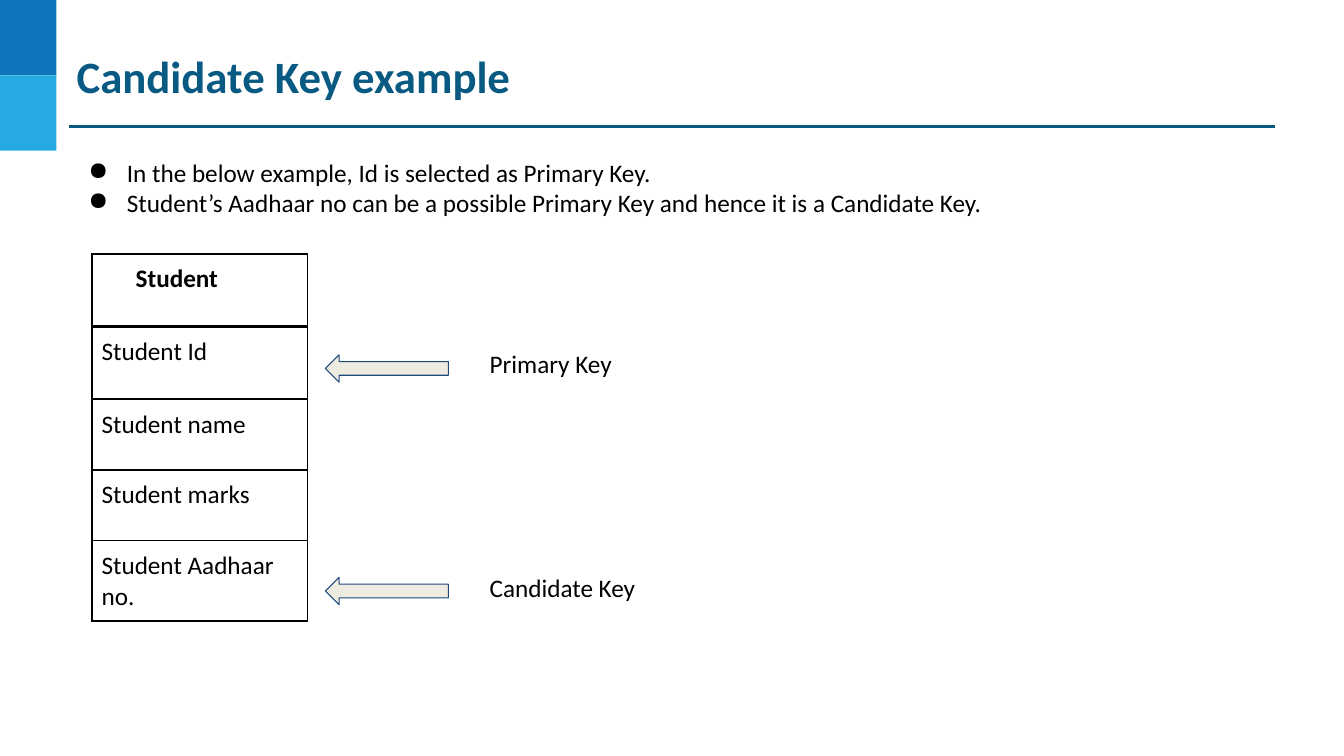
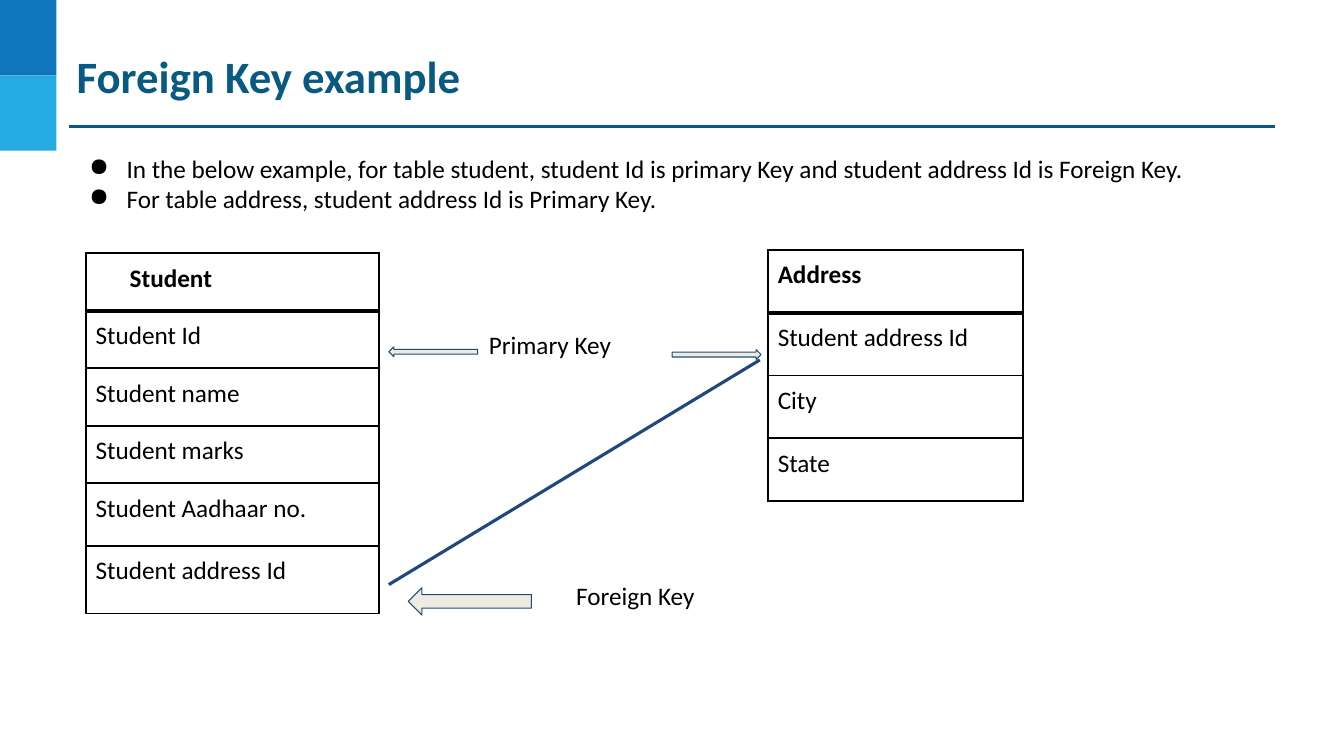
from dataclasses import dataclass

from lxml.etree import SubElement
from pptx import Presentation
from pptx.dml.color import RGBColor
from pptx.enum.shapes import MSO_CONNECTOR as Connector, MSO_SHAPE as Shape
from pptx.enum.text import MSO_ANCHOR as Anchor, MSO_AUTO_SIZE as AutoSize, PP_ALIGN as Align
from pptx.oxml.ns import qn
from pptx.util import Cm, Pt

FONT = "Calibri"
BLACK = "000000"
DARK_BLUE = "0F75BD"
LIGHT_BLUE = "25AAE2"
TEAL = "095A82"
NAVY = "1F497D"
CREAM = "EEECE1"
BAND_WIDTH, BAND_HEIGHT = 1.42, 1.9
INSET = 0.25
LABEL_WIDTH, LABEL_HEIGHT = 6, 1.27


@dataclass(frozen=True)
class Bullets:
    left: float
    top: float
    margin: float
    hanging: float
    lines: tuple[str, ...]


@dataclass(frozen=True)
class Entity:
    left: float
    top: float
    width: float
    row_heights: tuple[float, ...]
    names: tuple[str, ...]
    header_indent: float = 0


@dataclass(frozen=True)
class Arrow:
    left: float
    top: float
    width: float = 3.1
    height: float = 0.69
    kind: Shape = Shape.LEFT_ARROW


@dataclass(frozen=True)
class Label:
    left: float
    top: float
    text: str


@dataclass(frozen=True)
class Line:
    start: tuple[float, float]
    end: tuple[float, float]
    color: str


@dataclass(frozen=True)
class KeyPage:
    title: str
    bullets: Bullets
    entities: tuple[Entity, ...]
    arrows: tuple[Arrow, ...]
    labels: tuple[Label, ...]
    links: tuple[Line, ...] = ()


def color(value: str) -> RGBColor:
    return RGBColor.from_string(value)


def style_paragraph(para, size: float = 18, value: str = BLACK, bold: bool = False) -> None:
    para.alignment = Align.LEFT
    para.font.name = FONT
    para.font.size = Pt(size)
    para.font.bold = bold
    para.font.color.rgb = color(value)


def set_insets(frame, inset: float) -> None:
    frame.margin_left = frame.margin_right = Cm(inset)
    frame.margin_top = frame.margin_bottom = Cm(inset)


def add_box(page, left: float, top: float, width: float, height: float, lines: tuple[str, ...]):
    box = page.shapes.add_textbox(Cm(left), Cm(top), Cm(width), Cm(height))
    frame = box.text_frame
    frame.word_wrap = True
    set_insets(frame, INSET)
    frame.text = "\n".join(lines)
    for para in frame.paragraphs:
        style_paragraph(para)
    return box


def add_bullets(page, bullets: Bullets) -> None:
    box = add_box(page, bullets.left, bullets.top, 31.42, 2.06, bullets.lines)
    for para in box.text_frame.paragraphs:
        properties = para._p.get_or_add_pPr()
        properties.set("marL", str(Cm(bullets.margin)))
        properties.set("indent", str(-Cm(bullets.hanging)))
        bullet = SubElement(properties, qn("a:buChar"), char="●")
        properties.insert(0, bullet)


def add_shape(page, kind: Shape, left: float, top: float, width: float, height: float, fill: str):
    shape = page.shapes.add_shape(kind, Cm(left), Cm(top), Cm(width), Cm(height))
    shape.shadow.inherit = False
    shape.fill.solid()
    shape.fill.fore_color.rgb = color(fill)
    shape.line.fill.background()
    return shape


def add_arrow(page, arrow: Arrow) -> None:
    shape = add_shape(page, arrow.kind, arrow.left, arrow.top, arrow.width, arrow.height, CREAM)
    shape.line.color.rgb = color(NAVY)
    shape.line.width = Pt(0.75)


def add_line(page, line: Line) -> None:
    ends = [Cm(value) for value in (*line.start, *line.end)]
    connector = page.shapes.add_connector(Connector.STRAIGHT, *ends)
    connector.line.color.rgb = color(line.color)
    connector.line.width = Pt(2.25)
    SubElement(connector._element.spPr, qn("a:effectLst"))


def set_borders(cell, top: float, bottom: float) -> None:
    properties = cell._tc.get_or_add_tcPr()
    for side, width in (("L", 1.5), ("R", 1.5), ("T", top), ("B", bottom)):
        border = SubElement(properties, qn(f"a:ln{side}"), w=str(Pt(width)))
        fill = SubElement(border, qn("a:solidFill"))
        SubElement(fill, qn("a:srgbClr"), val=BLACK)


def add_entity(page, entity: Entity) -> None:
    table = page.shapes.add_table(
        len(entity.names), 1, Cm(entity.left), Cm(entity.top),
        Cm(entity.width), Cm(sum(entity.row_heights)),
    ).table
    table.first_row = table.horz_banding = False
    for index, (name, height) in enumerate(zip(entity.names, entity.row_heights)):
        table.rows[index].height = Cm(height)
        cell = table.cell(index, 0)
        set_insets(cell, INSET)
        set_borders(cell, 3 if index == 1 else 1.5, 3 if index == 0 else 1.5)
        cell.fill.background()
        cell.text = name
        style_paragraph(cell.text_frame.paragraphs[0], bold=index == 0)
    table.cell(0, 0).margin_left = Cm(INSET + entity.header_indent)


def add_frame(page, text: str) -> None:
    for index, fill in enumerate((DARK_BLUE, LIGHT_BLUE)):
        add_shape(page, Shape.RECTANGLE, 0, index * BAND_HEIGHT, BAND_WIDTH, BAND_HEIGHT, fill)
    add_line(page, Line((1.73, 3.18), (32.13, 3.18), TEAL))
    title = page.shapes.title
    title.left, title.top, title.width, title.height = Cm(1.88), Cm(1.17), Cm(30.4), Cm(1.47)
    frame = title.text_frame
    frame.text = text
    frame.auto_size = AutoSize.NONE
    frame.vertical_anchor = Anchor.MIDDLE
    set_insets(frame, 0.05)
    style_paragraph(frame.paragraphs[0], 32, TEAL, True)


def add_page(deck, content: KeyPage) -> None:
    page = deck.slides.add_slide(deck.slide_layouts.get_by_name("Title Only"))
    add_frame(page, content.title)
    add_bullets(page, content.bullets)
    for entity in content.entities:
        add_entity(page, entity)
    for link in content.links:
        add_line(page, link)
    for label in content.labels:
        add_box(page, label.left, label.top, LABEL_WIDTH, LABEL_HEIGHT, (label.text,))
    for arrow in content.arrows:
        add_arrow(page, arrow)


STUDENT_NAMES = ("Student", "Student Id", "Student name", "Student marks", "Student Aadhaar no.")

PAGES = (
    KeyPage(
        title="Candidate Key example",
        bullets=Bullets(1.68, 3.71, 1.27, 0.97, (
            "In the below example, Id is selected as Primary Key.",
            "Student’s Aadhaar no can be a possible Primary Key and hence it is a Candidate Key.",
        )),
        entities=(
            Entity(2.31, 6.4, 5.44, (1.83,) * 2 + (1.78,) * 3, STUDENT_NAMES, 0.86),
        ),
        arrows=(Arrow(8.2, 14.55), Arrow(8.2, 8.94)),
        labels=(Label(12.09, 14.17, "Candidate Key"), Label(12.09, 8.53, "Primary Key")),
    ),
    KeyPage(
        title="Foreign Key example",
        bullets=Bullets(0.2, 3.61, 2.74, 0.94, (
            "In the below example, for table student, student Id is primary Key "
            "and student address Id is Foreign Key.",
            "For table address, student address Id is Primary Key.",
        )),
        entities=(
            Entity(2.16, 6.38, 7.39, (1.45,) * 4 + (1.58, 1.7),
                   (*STUDENT_NAMES, "Student address Id"), 0.86),
            Entity(19.35, 6.3, 6.43, (1.58,) * 4,
                   ("Address", "Student address Id", "City", "State")),
        ),
        arrows=(
            Arrow(10.29, 14.81),
            Arrow(16.94, 8.81, 2.24, 0.25, Shape.RIGHT_ARROW),
            Arrow(9.8, 8.74, 2.24, 0.25),
        ),
        labels=(Label(12.07, 8.05, "Primary Key"), Label(14.27, 14.38, "Foreign Key")),
        links=(Line((9.8, 14.73), (19.15, 9.07), NAVY),),
    ),
)


def main() -> None:
    deck = Presentation()
    deck.slide_width, deck.slide_height = Cm(33.87), Cm(19.05)
    for content in PAGES:
        add_page(deck, content)
    deck.save("out.pptx")


if __name__ == "__main__":
    main()
